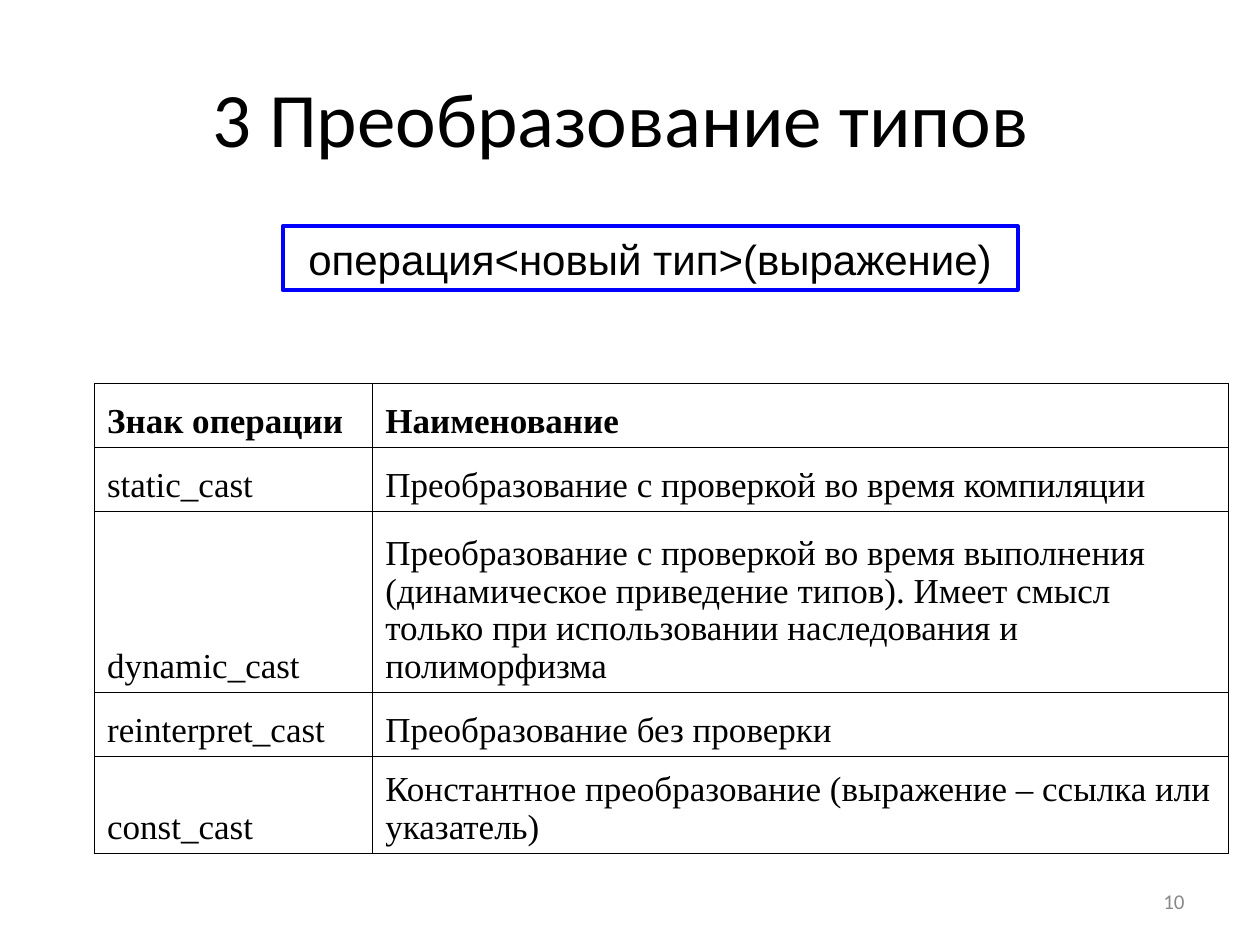
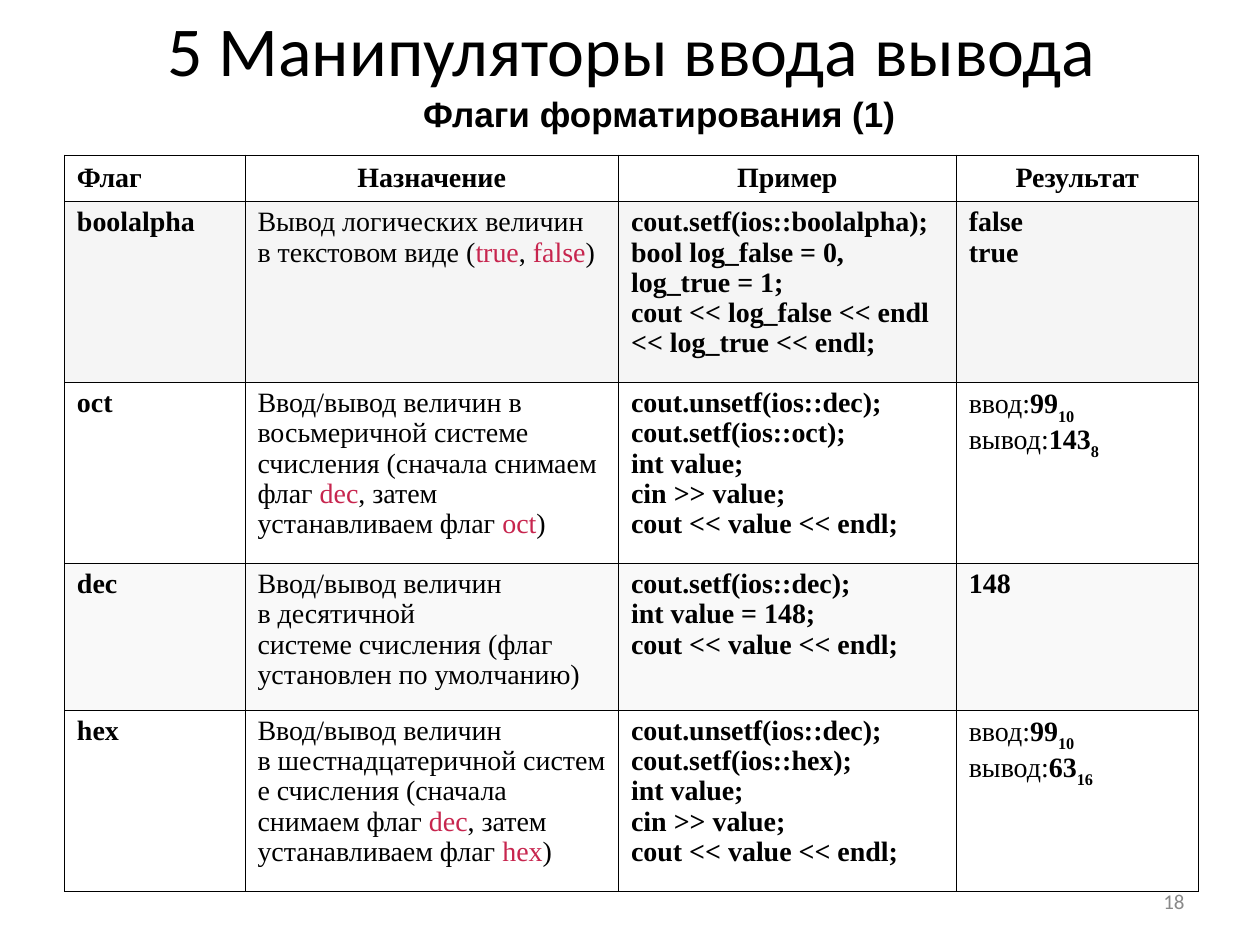
from lxml.etree import SubElement
from pptx import Presentation
from pptx.dml.color import RGBColor
from pptx.enum.shapes import MSO_SHAPE
from pptx.enum.text import MSO_ANCHOR, PP_ALIGN
from pptx.oxml.ns import qn
from pptx.util import Pt

BLACK, GREY, BLUE, RED = "000000", "898989", "0000FF", "C7254E"
TITLE_FONT, LABEL_FONT, TABLE_FONT = "Calibri", "Arial", "Times New Roman"
LEFT, CENTER, RIGHT, JUSTIFY = PP_ALIGN.LEFT, PP_ALIGN.CENTER, PP_ALIGN.RIGHT, PP_ALIGN.JUSTIFY
TOP, MIDDLE, BOTTOM = MSO_ANCHOR.TOP, MSO_ANCHOR.MIDDLE, MSO_ANCHOR.BOTTOM
HARD_SPACE = chr(160)


def color(value):
    return RGBColor.from_string(value)


def keyword(text):
    return text, {"ink": RED}


def strong(text):
    return text, {"bold": True}


def subscript(text):
    return text, {"bold": True, "baseline": -30}


def add_span(para, text, size=16, font=TABLE_FONT, ink=BLACK, bold=False, baseline=0):
    span = para.add_run()
    span.text = text.replace("~", HARD_SPACE)
    span.font.size = Pt(size)
    span.font.name = font
    span.font.bold = bold
    span.font.color.rgb = color(ink)
    if baseline:
        span._r.get_or_add_rPr().set("baseline", str(baseline * 1000))


def write_text(frame, text, align=LEFT, spacing=None, **style):
    lines = [text] if isinstance(text, str) else text
    for index, line in enumerate(lines):
        para = frame.add_paragraph() if index else frame.paragraphs[0]
        para.alignment = align
        if spacing:
            para.line_spacing = spacing
        for part in [line] if isinstance(line, str) else line:
            words, extra = (part, {}) if isinstance(part, str) else part
            add_span(para, words, **{**style, **extra})


def add_label(page, text, area, outline=None, wrap=True, **style):
    left, top, width, height = map(Pt, area)
    if outline:
        box = page.shapes.add_shape(MSO_SHAPE.RECTANGLE, left, top, width, height)
        box.shadow.inherit = False
        box.fill.background()
        box.line.color.rgb = color(outline)
        box.line.width = Pt(2.25)
    else:
        box = page.shapes.add_textbox(left, top, width, height)
    box.text_frame.word_wrap = wrap
    box.text_frame.vertical_anchor = MIDDLE
    write_text(box.text_frame, text, **style)


def add_title(page, text, area, size):
    add_label(page, text, area, size=size, font=TITLE_FONT, align=CENTER)


def add_page_number(page, number):
    add_label(page, str(number), (516, 500.5, 168, 28.8), size=12, font=TITLE_FONT, ink=GREY, align=RIGHT)


def add_borders(cell):
    properties = cell._tc.get_or_add_tcPr()
    for side in ("lnL", "lnR", "lnT", "lnB"):
        border = SubElement(properties, qn("a:" + side), w=str(Pt(0.45)))
        fill = SubElement(border, qn("a:solidFill"))
        SubElement(fill, qn("a:srgbClr"), val=BLACK)


def add_grid(page, left, top, widths, heights):
    frame = page.shapes.add_table(len(heights), len(widths), Pt(left), Pt(top),
                                  Pt(sum(widths)), Pt(sum(heights)))
    grid = frame.table
    grid.first_row = grid.horz_banding = False
    for column, width in zip(grid.columns, widths):
        column.width = Pt(width)
    for row, height in zip(grid.rows, heights):
        row.height = Pt(height)
    return grid


def fill_cell(cell, text, anchor=TOP, shade=None, **style):
    add_borders(cell)
    if shade:
        cell.fill.solid()
        cell.fill.fore_color.rgb = color(shade)
    else:
        cell.fill.background()
    cell.vertical_anchor = anchor
    write_text(cell.text_frame, text, spacing=0.97, **style)


def add_cast_table(page):
    rows = [
        ("Знак операции", "Наименование"),
        ("static_cast", "Преобразование с проверкой во время компиляции"),
        ("dynamic_cast", "Преобразование с проверкой во время выполнения (динамическое приведение типов). "
                         "Имеет смысл только при использовании наследования и полиморфизма"),
        ("reinterpret_cast", "Преобразование без проверки"),
        ("const_cast", "Константное преобразование (выражение – ссылка или указатель)"),
    ]
    grid = add_grid(page, 54, 219, [159, 489], [36.6, 36.6, 103.4, 36.6, 55.4])
    for row, texts in enumerate(rows):
        for column, text in enumerate(texts):
            fill_cell(grid.cell(row, column), text, anchor=BOTTOM, size=20, bold=row == 0)


def base_example(flag):
    return ["cout.unsetf(ios::dec);", f"cout.setf(ios::{flag});", "int value;",
            "cin >> value;", "cout << value << endl;"]


def base_result(output, base):
    return [["ввод:", strong("99"), subscript("10")],
            ["вывод:", strong(output), subscript(base)]]


def add_flag_table(page):
    headings = ["Флаг", "Назначение", "Пример", "Результат"]
    rows = [
        ("boolalpha",
         [["Вывод логических~величин в~текстовом~виде (", keyword("true"), ",~", keyword("false"), ")"]],
         ["cout.setf(ios::boolalpha);", "bool log_false = 0,", "log_true = 1;",
          "cout << log_false << endl", "<< log_true << endl;"],
         [[strong("false")], [strong("true")]], "F5F5F5"),
        ("oct",
         ["Ввод/вывод величин в",
          ["восьмеричной~системе счисления (сначала снимаем флаг~", keyword("dec"),
           ", затем устанавливаем флаг~", keyword("oct"), ")"]],
         base_example("oct"), base_result("143", "8"), None),
        ("dec",
         "Ввод/вывод величин в~десятичной системе~счисления (флаг установлен по~умолчанию)",
         ["cout.setf(ios::dec);", "int value = 148;", "cout << value << endl;"],
         [[strong("148")]], "F9F9F9"),
        ("hex",
         ["Ввод/вывод величин в~шестнадцатеричной~системе счисления~(сначала",
          ["снимаем флаг~", keyword("dec"), ", затем устанавливаем флаг~", keyword("hex"), ")"]],
         base_example("hex"), base_result("63", "16"), None),
    ]
    grid = add_grid(page, 36.8, 88.5, [103.2, 213.5, 193, 138.3], [26.6, 103.4, 103.4, 84, 103.4])
    for column, heading in enumerate(headings):
        fill_cell(grid.cell(0, column), heading, anchor=MIDDLE, bold=True,
                  align=CENTER if column else LEFT)
    for row, (flag, purpose, example, result, shade) in enumerate(rows, 1):
        fill_cell(grid.cell(row, 0), flag, shade=shade, bold=True)
        fill_cell(grid.cell(row, 1), purpose, shade=shade)
        fill_cell(grid.cell(row, 2), example, shade=shade, bold=True)
        fill_cell(grid.cell(row, 3), result, shade=shade, align=JUSTIFY)


def add_page(deck):
    return deck.slides.add_slide(deck.slide_layouts[6])


def build_cast_page(deck):
    page = add_page(deck)
    add_title(page, "3 Преобразование типов ", (36, 21.6, 648, 90), 44)
    add_label(page, "операция<новый тип>(выражение)", (161.5, 129.4, 420, 36.3), outline=BLUE,
              size=24, font=LABEL_FONT, align=CENTER)
    add_cast_table(page)
    add_page_number(page, 10)


def build_flag_page(deck):
    page = add_page(deck)
    add_title(page, "5 Манипуляторы ввода вывода", (36.8, 0, 648, 55), 40)
    add_flag_table(page)
    add_label(page, "Флаги форматирования (1)", (234.7, 49.2, 286, 31.5), wrap=False,
              size=20, font=LABEL_FONT, bold=True)
    add_page_number(page, 18)


def main():
    deck = Presentation()
    deck.slide_width, deck.slide_height = Pt(720), Pt(540)
    build_cast_page(deck)
    build_flag_page(deck)
    deck.save("out.pptx")


if __name__ == "__main__":
    main()
